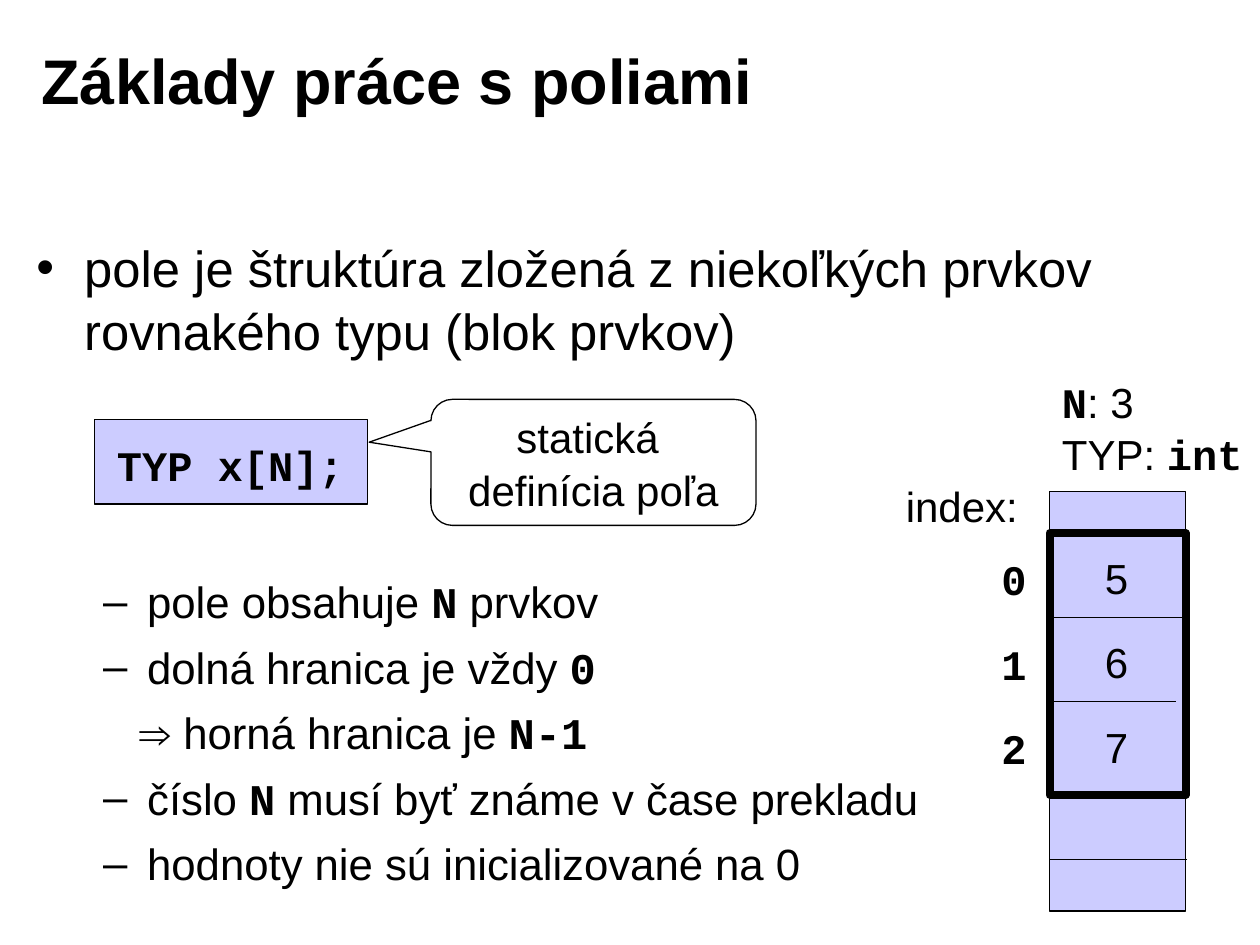
import pptx
import pptx.dml.color
import pptx.enum.shapes
import pptx.enum.text
import pptx.oxml.ns
import pptx.util
from lxml import etree

Inches = pptx.util.Inches
Pt = pptx.util.Pt
RGBColor = pptx.dml.color.RGBColor
SHAPE = pptx.enum.shapes.MSO_SHAPE
ALIGN = pptx.enum.text.PP_ALIGN
ANCHOR = pptx.enum.text.MSO_ANCHOR

BLACK = RGBColor(0, 0, 0)
WHITE = RGBColor(255, 255, 255)
LAVENDER = RGBColor(0xCC, 0xCC, 0xFF)
SANS = "Arial"
MONO = "Courier New"
LINE_SPACING = 1.04


def add_element(parent, tag, **attributes):
    return etree.SubElement(parent, pptx.oxml.ns.qn(tag), attributes)


def set_bullet(paragraph, character, margin, indent):
    properties = paragraph._p.get_or_add_pPr()
    properties.set("marL", str(Inches(margin)))
    properties.set("indent", str(Inches(indent)))
    if character:
        font = add_element(properties, "a:buFont", typeface=SANS)
        font.set("charset", "0")
        add_element(properties, "a:buChar", char=character)
    else:
        add_element(properties, "a:buNone")


def write_paragraph(paragraph, text, size, align=ALIGN.LEFT):
    paragraph.alignment = align
    paragraph.line_spacing = LINE_SPACING
    parts = text.split("`")
    whole_code = len(parts) == 3 and not parts[0] and not parts[2]
    paragraph.font.name = MONO if whole_code else SANS
    paragraph.font.size = Pt(size)
    paragraph.font.bold = whole_code
    paragraph.font.color.rgb = BLACK
    for number, part in enumerate(parts):
        if part:
            run = paragraph.add_run()
            run.text = part
            if number % 2 and not whole_code:
                run.font.name = MONO
                run.font.bold = True


def write_lines(frame, lines, size, align=ALIGN.LEFT):
    for number, line in enumerate(lines):
        paragraph = frame.add_paragraph() if number else frame.paragraphs[0]
        write_paragraph(paragraph, line, size, align)


def add_text(slide, left, top, width, height, lines, size=24, wrap=True):
    box = slide.shapes.add_textbox(
        Inches(left), Inches(top), Inches(width), Inches(height))
    box.text_frame.word_wrap = wrap
    write_lines(box.text_frame, lines, size)


def add_list(slide, left, top, width, height, items, size, space):
    box = slide.shapes.add_textbox(
        Inches(left), Inches(top), Inches(width), Inches(height))
    frame = box.text_frame
    frame.word_wrap = True
    for number, (text, level, bullet, margin, indent) in enumerate(items):
        paragraph = frame.add_paragraph() if number else frame.paragraphs[0]
        paragraph.level = level
        set_bullet(paragraph, bullet, margin, indent)
        if number:
            paragraph.space_before = Pt(space)
        write_paragraph(paragraph, text, size)


def add_box(slide, left, top, width, height, fill, weight=0.75, kind=SHAPE.RECTANGLE):
    shape = slide.shapes.add_shape(
        kind, Inches(left), Inches(top), Inches(width), Inches(height))
    shape.shadow.inherit = False
    if fill is None:
        shape.fill.background()
    else:
        shape.fill.solid()
        shape.fill.fore_color.rgb = fill
    shape.line.color.rgb = BLACK
    shape.line.width = Pt(weight)
    return shape


def add_divider(slide, left, right, top):
    line = slide.shapes.add_connector(
        pptx.enum.shapes.MSO_CONNECTOR.STRAIGHT,
        Inches(left), Inches(top), Inches(right), Inches(top))
    line.line.color.rgb = BLACK
    line.line.width = Pt(0.75)
    add_element(line._element.spPr, "a:effectLst")


def add_title(slide, text):
    title = slide.shapes.title
    title.left, title.top = Inches(0.23), Inches(0.15)
    title.width, title.height = Inches(8.03), Inches(0.93)
    title.text_frame.vertical_anchor = ANCHOR.MIDDLE
    paragraph = title.text_frame.paragraphs[0]
    write_paragraph(paragraph, text, 36)
    paragraph.font.bold = True


def add_callout(slide, lines):
    callout = add_box(slide, 3.42, 3.17, 2.58, 1, WHITE,
                      kind=SHAPE.ROUNDED_RECTANGULAR_CALLOUT)
    for number, value in enumerate((-0.69, -0.16, 0.17)):
        callout.adjustments[number] = value
    callout.text_frame.vertical_anchor = ANCHOR.MIDDLE
    write_lines(callout.text_frame, lines, 24, ALIGN.CENTER)


def add_memory(slide, values):
    left, width, step = 8.33, 1.08, 0.67
    add_box(slide, left, 3.9, width, 3.33, LAVENDER)
    for right, top in ((9.42, 6.82), (9.42, 4.9), (9.33, 5.57)):
        add_divider(slide, left, right, top)
    add_box(slide, left, 4.23, width, 2.08, None, 4.5)
    for index, value in enumerate(values):
        offset = index * step
        add_text(slide, 8.67, 4.32 + offset, 0.75, 0.5, [value])
        add_text(slide, 7.85, 4.33 + offset, 0.4, 0.5, [f"`{index}`"], wrap=False)
    add_text(slide, left, 2.92, 1.67, 0.9, ["`N`: 3", "TYP: `int`"])
    add_text(slide, 7.09, 3.75, 1.09, 0.5, ["index:"], wrap=False)


def main():
    presentation = pptx.Presentation()
    presentation.slide_width = Inches(10)
    presentation.slide_height = Inches(7.5)
    slide = presentation.slides.add_slide(presentation.slide_layouts[5])
    add_title(slide, "Základy práce s poliami")
    definition = ("pole je štruktúra zložená z niekoľkých prvkov "
                  "rovnakého typu (blok prvkov)")
    add_list(slide, 0.19, 1.81, 9.61, 1.19,
             [(definition, 0, "•", 0.38, -0.38)], 29, 0)
    add_box(slide, 0.75, 3.33, 2.17, 0.67, LAVENDER)
    add_text(slide, 0.83, 3.42, 2.08, 0.5, ["`TYP x[N];`"])
    dash = (1, "–", 0.9, -0.35)
    conclusion = (1, None, 0.9, -0.06)
    add_list(slide, 0.17, 4.5, 7.33, 2.66, [
        ("pole obsahuje `N` prvkov", *dash),
        ("dolná hranica je vždy `0`", *dash),
        ("⇒ horná hranica je `N-1`", *conclusion),
        ("číslo `N` musí byť známe v čase prekladu", *dash),
        ("hodnoty nie sú inicializované na 0", *dash),
    ], 25, 6.2)
    add_callout(slide, ["statická ", "definícia poľa"])
    add_memory(slide, ["5", "6", "7"])
    presentation.save("out.pptx")


if __name__ == "__main__":
    main()
